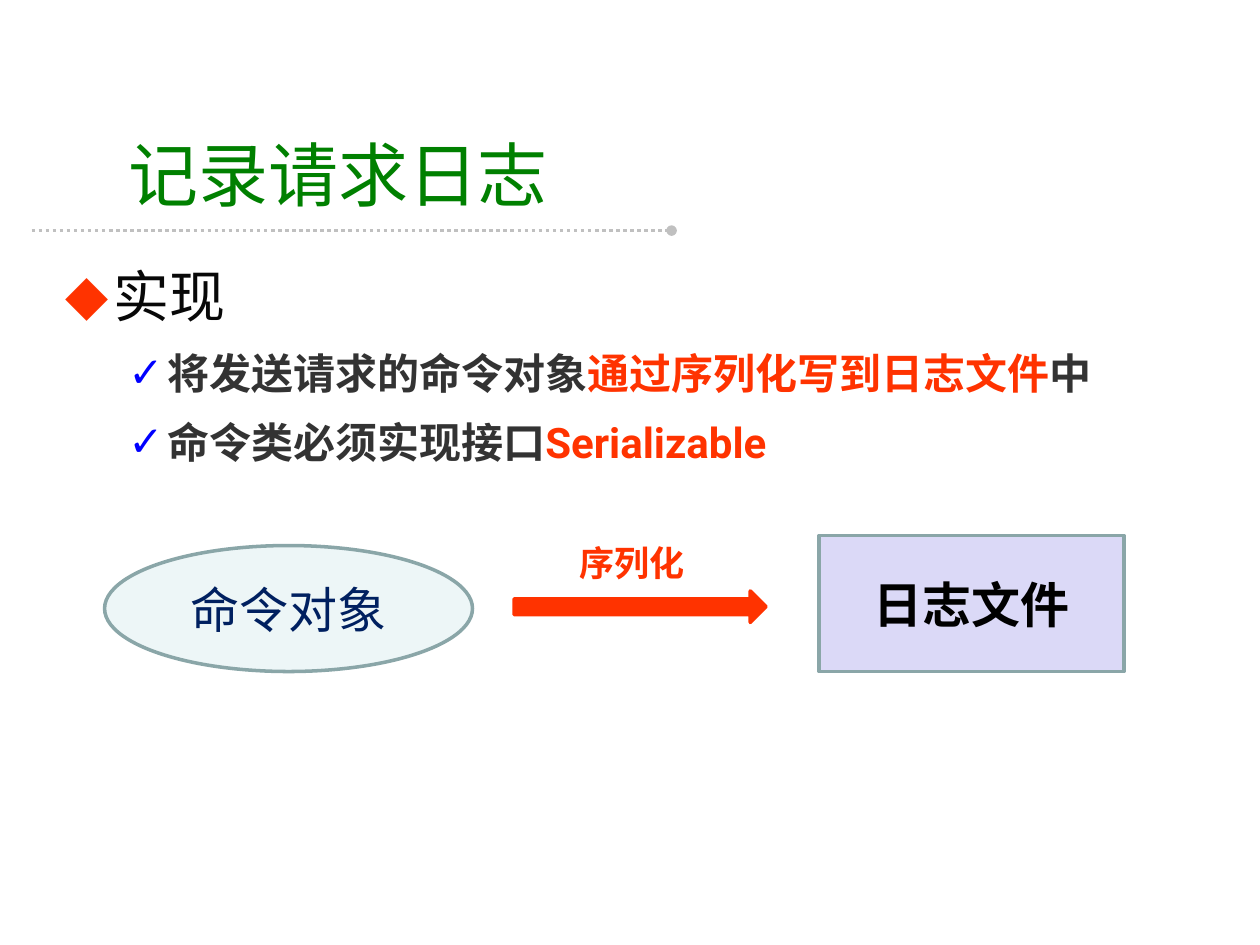
from dataclasses import dataclass

from lxml.etree import SubElement
from pptx import Presentation
from pptx.dml.color import RGBColor as Color
from pptx.enum.dml import MSO_LINE_DASH_STYLE as Dash
from pptx.enum.shapes import MSO_CONNECTOR as Connector, MSO_SHAPE as Shape
from pptx.enum.text import MSO_ANCHOR as Anchor, PP_ALIGN as Align
from pptx.oxml.ns import qn
from pptx.util import Inches, Pt


@dataclass(frozen=True)
class Theme:
    """Colours, fonts and type sizes of the slide."""
    green: str = "008000"
    red: str = "FF3300"
    blue: str = "0000FF"
    navy: str = "002060"
    black: str = "000000"
    ink: str = "080808"
    dark: str = "333333"
    rule: str = "C0C0C0"
    border: str = "8AA6A8"
    mint: str = "EDF6F7"
    lilac: str = "DBD9F7"
    font: str = "Roboto"
    label_font: str = "Arial"
    title_size: int = 40
    heading_size: int = 32
    node_size: int = 28
    item_size: int = 24
    label_size: int = 20
    stroke: int = 2


THEME = Theme()


def set_format(target, values):
    """Set each attribute of target from a dict."""
    for name, value in values.items():
        setattr(target, name, value)


def add_run(paragraph, text, size, color, bold=False, font=THEME.font):
    """Append a styled run to a paragraph."""
    run = paragraph.add_run()
    run.text = text
    set_format(run.font, {"name": font, "size": Pt(size), "bold": bold})
    run.font.color.rgb = Color.from_string(color)


def add_text_box(slide, box, anchor=Anchor.TOP, wrap=True):
    """Add an empty text box and return its text frame."""
    frame = slide.shapes.add_textbox(*map(Inches, box)).text_frame
    set_format(frame, {"word_wrap": wrap, "vertical_anchor": anchor})
    return frame


def set_stroke(line, color):
    """Give a line the shared width and a colour."""
    line.color.rgb = Color.from_string(color)
    line.width = Pt(THEME.stroke)


def add_node(slide, kind, box, fill, border):
    """Add a filled, outlined shape and return its text frame."""
    shape = slide.shapes.add_shape(kind, *map(Inches, box))
    shape.shadow.inherit = False
    shape.fill.solid()
    shape.fill.fore_color.rgb = Color.from_string(fill)
    set_stroke(shape.line, border)
    return shape.text_frame


def add_label_node(slide, kind, box, fill, text, color, bold=False):
    """Add a node with a centred label."""
    frame = add_node(slide, kind, box, fill, THEME.border)
    frame.vertical_anchor = Anchor.MIDDLE
    paragraph = frame.paragraphs[0]
    paragraph.alignment = Align.CENTER
    add_run(paragraph, text, THEME.node_size, color, bold)


def add_rule(slide, start, end):
    """Add the dotted rule that ends in a dot."""
    rule = slide.shapes.add_connector(Connector.STRAIGHT, *map(Inches, start + end))
    set_stroke(rule.line, THEME.rule)
    rule.line.dash_style = Dash.ROUND_DOT
    SubElement(rule.line._get_or_add_ln(), qn("a:tailEnd"), type="oval")
    SubElement(rule._element.spPr, qn("a:effectLst"))


def set_bullet(paragraph, character, color, left, hanging):
    """Give a paragraph a coloured hanging bullet."""
    properties = paragraph._p.get_or_add_pPr()
    properties.set("marL", str(Inches(left)))
    properties.set("indent", str(-Inches(hanging)))
    bullet_color = SubElement(properties, qn("a:buClr"))
    SubElement(bullet_color, qn("a:srgbClr"), val=color)
    SubElement(properties, qn("a:buFont"), typeface=THEME.font)
    SubElement(properties, qn("a:buChar"), char=character)


def add_outline(slide, box, heading, items):
    """Add a heading with checked items below it."""
    frame = add_text_box(slide, box)
    paragraph = frame.paragraphs[0]
    paragraph.line_spacing = 1.2
    set_bullet(paragraph, "◆", THEME.red, 0.38, 0.38)
    add_run(paragraph, heading, THEME.heading_size, THEME.ink)
    for item in items:
        paragraph = frame.add_paragraph()
        set_format(paragraph, {"level": 1, "line_spacing": 1.2, "space_before": Pt(5)})
        set_bullet(paragraph, "✓", THEME.blue, 0.81, 0.31)
        for text, color in item:
            add_run(paragraph, text, THEME.item_size, color, bold=True)


def main():
    """Build and save the slide."""
    presentation = Presentation()
    set_format(presentation, {"slide_width": Inches(10), "slide_height": Inches(7.5)})
    slide = presentation.slides.add_slide(presentation.slide_layouts[6])

    add_rule(slide, (0.25, 1.83), (5.33, 1.83))
    title = add_text_box(slide, (0.92, 1, 6.92, 0.75), Anchor.MIDDLE)
    add_run(title.paragraphs[0], "记录请求日志", THEME.title_size, THEME.green)
    add_outline(slide, (0.42, 1.92, 9, 4.5), "实现", [
        [("将发送请求的命令对象", THEME.dark),
         ("通过序列化写到日志文件", THEME.red),
         ("中", THEME.dark)],
        [("命令类必须实现接口", THEME.dark), ("Serializable", THEME.red)],
    ])

    add_label_node(slide, Shape.OVAL, (0.83, 4.33, 2.92, 1), THEME.mint,
                   "命令对象", THEME.navy)
    add_label_node(slide, Shape.RECTANGLE, (6.5, 4.25, 2.42, 1.08), THEME.lilac,
                   "日志文件", THEME.black, bold=True)
    add_node(slide, Shape.RIGHT_ARROW, (4.08, 4.69, 2, 0.25), THEME.red, THEME.red)
    label = add_text_box(slide, (4.5, 4.25, 1.05, 0.44), wrap=False)
    add_run(label.paragraphs[0], "序列化", THEME.label_size, THEME.red, True,
            THEME.label_font)

    presentation.save("out.pptx")


if __name__ == "__main__":
    main()
